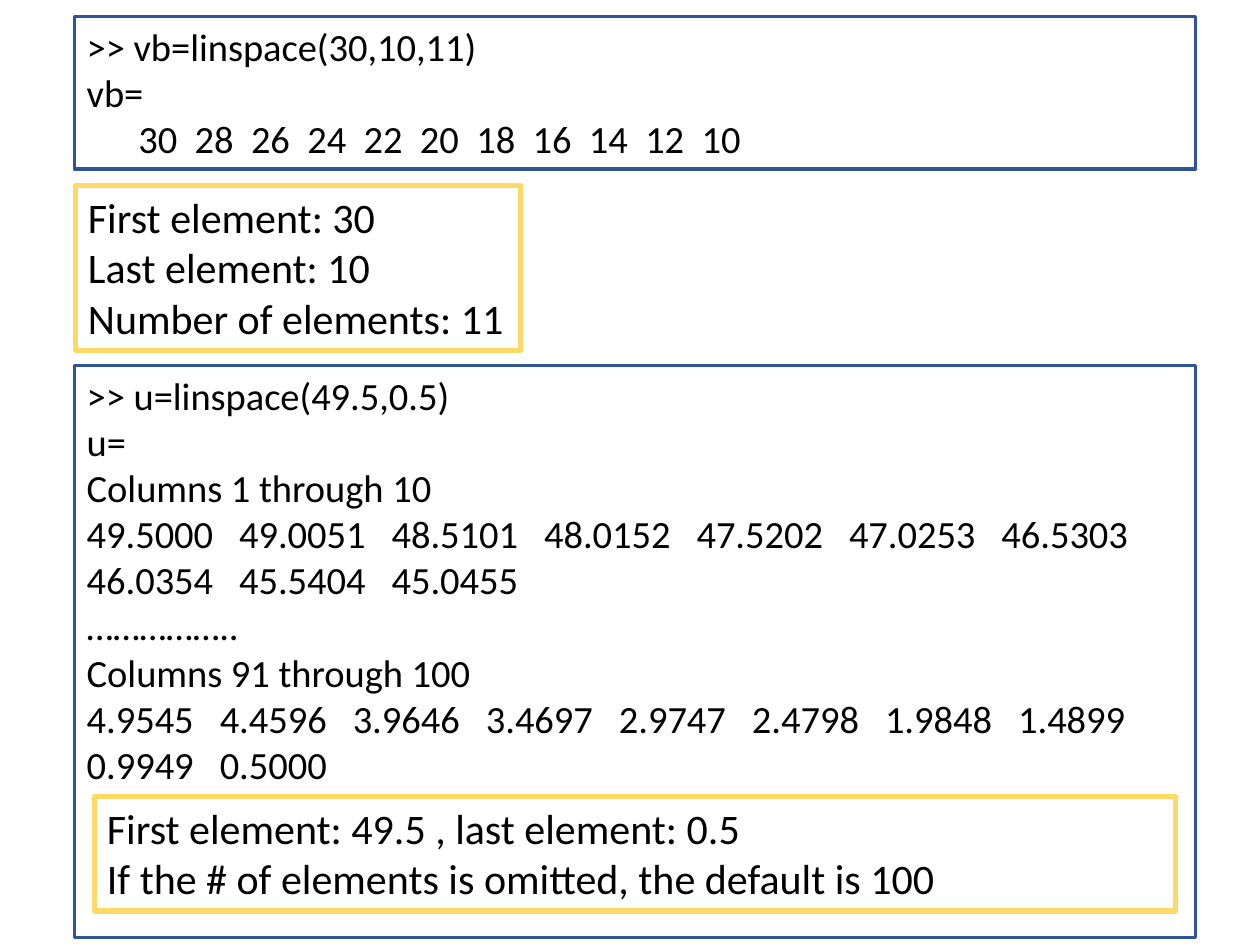
from dataclasses import dataclass

from lxml import etree
from pptx import Presentation
from pptx.dml.color import RGBColor
from pptx.enum.shapes import MSO_SHAPE
from pptx.enum.text import MSO_ANCHOR, PP_ALIGN
from pptx.oxml.ns import qn
from pptx.slide import Slide
from pptx.util import Inches, Pt

RECTANGLE = MSO_SHAPE.RECTANGLE
TOP = MSO_ANCHOR.TOP
LEFT = PP_ALIGN.LEFT

BLUE = RGBColor(0x2F, 0x55, 0x97)
YELLOW = RGBColor(0xFF, 0xD9, 0x66)
BLACK = RGBColor(0, 0, 0)
FONT = "Calibri"

SLIDE_WIDTH = Inches(10)
SLIDE_HEIGHT = Inches(7.5)
COLUMN = SLIDE_WIDTH / 100
ROW = SLIDE_HEIGHT / 75


@dataclass(frozen=True)
class BoxStyle:
    line_color: RGBColor
    line_width: float
    text_size: int


@dataclass(frozen=True)
class Line:
    """One line of text; tab stops start at first_tab and repeat every tab_step columns."""
    text: str
    first_tab: float = 0
    tab_step: float = 0


@dataclass(frozen=True)
class Box:
    column: float
    row: float
    columns: float
    rows: float
    style: BoxStyle
    lines: tuple[Line, ...]


CODE = BoxStyle(BLUE, 2, 22)
NOTE = BoxStyle(YELLOW, 3, 24)


def value_line(values: str, step: float, indent: float = 0) -> Line:
    """Spread space-separated values over equal columns, after an optional indent."""
    text = "\t".join(values.split())
    return Line("\t" + text, indent, step) if indent else Line(text, step, step)


BOXES = (
    Box(5.9, 1.3, 89, 12.1, CODE, (
        Line(">> vb=linspace(30,10,11)"),
        Line("vb="),
        value_line("30 28 26 24 22 20 18 16 14 12 10", 4.47, indent=4.1),
    )),
    Box(6, 14.7, 35.3, 13.1, NOTE, (
        Line("First element: 30"),
        Line("Last element: 10"),
        Line("Number of elements: 11"),
    )),
    Box(5.9, 29, 89, 45.4, CODE, (
        Line(">> u=linspace(49.5,0.5)"),
        Line("u="),
        Line("Columns 1 through 10"),
        value_line("49.5000 49.0051 48.5101 48.0152 47.5202 47.0253 46.5303", 12.1),
        value_line("46.0354 45.5404 45.0455", 12.1),
        Line("…………….."),
        Line("Columns 91 through 100"),
        value_line("4.9545 4.4596 3.9646 3.4697 2.9747 2.4798 1.9848 1.4899", 10.56),
        value_line("0.9949 0.5000", 10.56),
    )),
    Box(7.5, 63.2, 85.8, 9.1, NOTE, (
        Line("First element: 49.5 , last element: 0.5"),
        Line("If the # of elements is omitted, the default is 100"),
    )),
)


def add_tab_stops(paragraph, line: Line) -> None:
    tab_list = etree.SubElement(paragraph._p.get_or_add_pPr(), qn("a:tabLst"))
    for index in range(line.text.count("\t")):
        position = round((line.first_tab + index * line.tab_step) * COLUMN)
        etree.SubElement(tab_list, qn("a:tab"), pos=str(position), algn="l")


def draw_box(slide: Slide, box: Box) -> None:
    shape = slide.shapes.add_shape(
        RECTANGLE, round(box.column * COLUMN), round(box.row * ROW),
        round(box.columns * COLUMN), round(box.rows * ROW))
    shape.shadow.inherit = False
    shape.fill.background()
    shape.line.color.rgb = box.style.line_color
    shape.line.width = Pt(box.style.line_width)

    text_frame = shape.text_frame
    text_frame.word_wrap = True
    text_frame.vertical_anchor = TOP
    text_frame.text = "\n".join(line.text for line in box.lines)
    for paragraph, line in zip(text_frame.paragraphs, box.lines):
        paragraph.alignment = LEFT
        if line.tab_step:
            add_tab_stops(paragraph, line)
        for run in paragraph.runs:
            run.font.name = FONT
            run.font.size = Pt(box.style.text_size)
            run.font.color.rgb = BLACK


def main() -> None:
    presentation = Presentation()
    presentation.slide_width = SLIDE_WIDTH
    presentation.slide_height = SLIDE_HEIGHT
    slide = presentation.slides.add_slide(presentation.slide_layouts[6])
    for box in BOXES:
        draw_box(slide, box)
    presentation.save("out.pptx")


if __name__ == "__main__":
    main()
